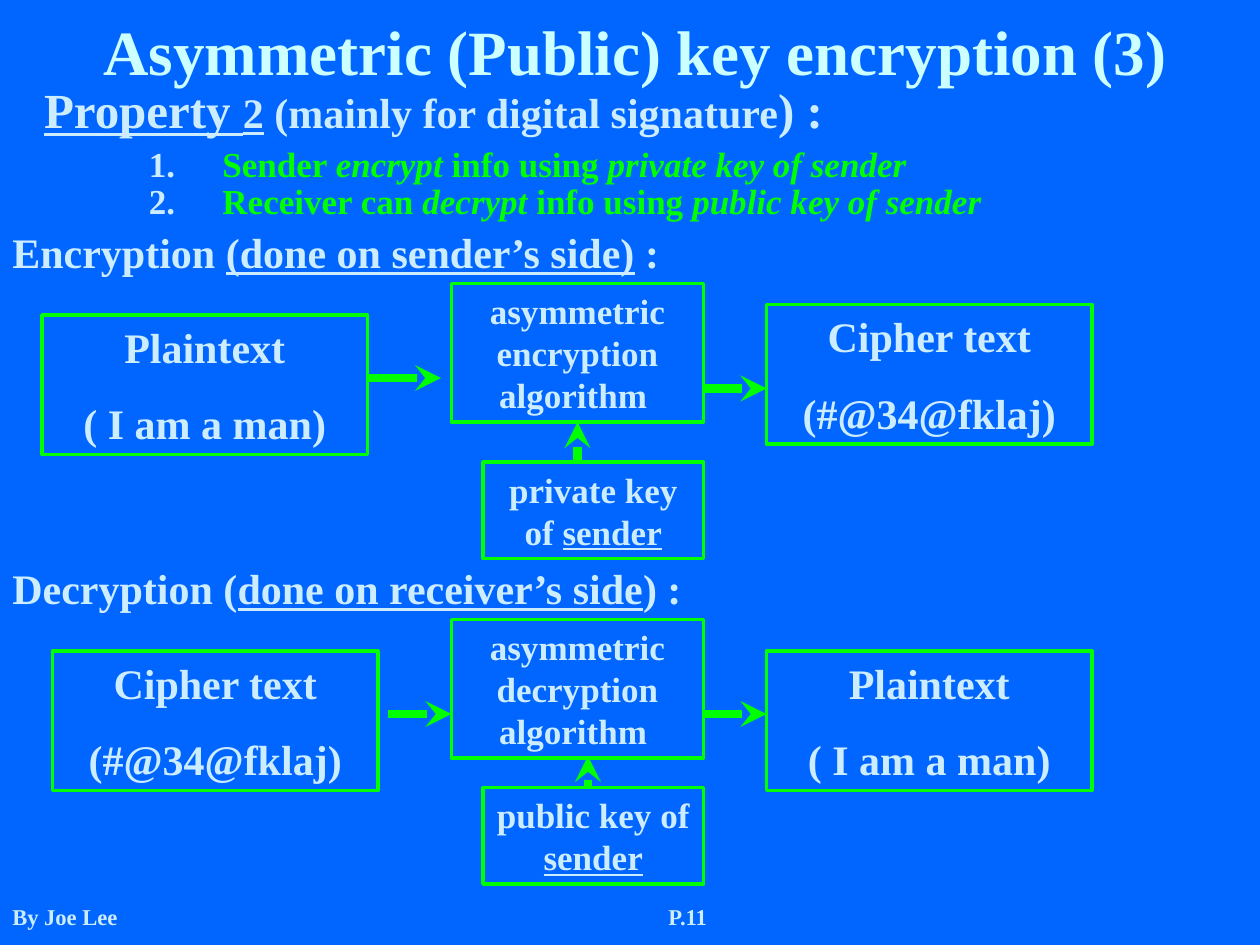
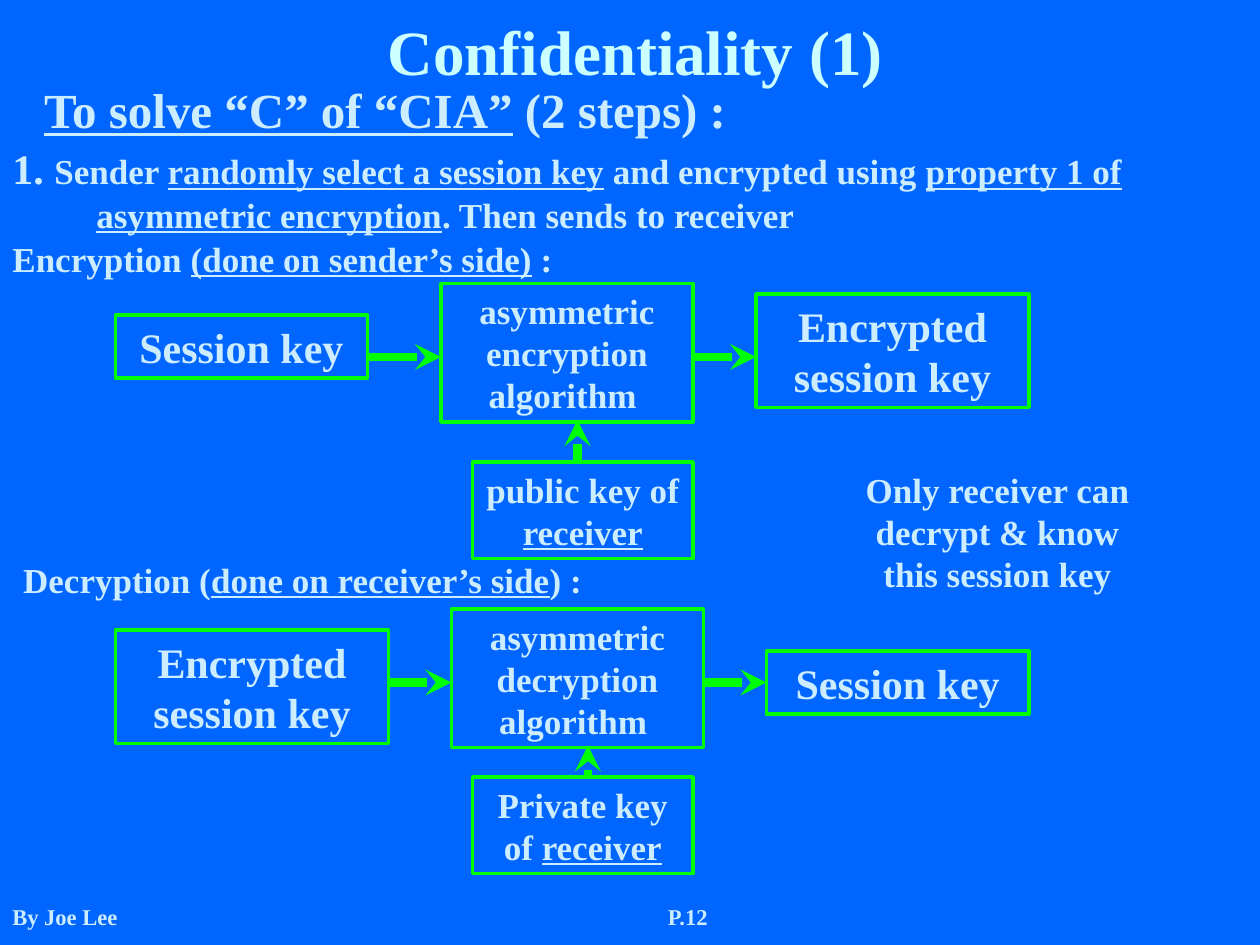
from lxml import etree
from pptx import Presentation
from pptx.dml.color import RGBColor
from pptx.enum.shapes import MSO_CONNECTOR, MSO_SHAPE
from pptx.enum.text import MSO_ANCHOR, MSO_AUTO_SIZE, PP_ALIGN
from pptx.oxml.ns import qn
from pptx.util import Pt

PX = 7620
LEFT, CENTER = PP_ALIGN.LEFT, PP_ALIGN.CENTER
TOP, BOTTOM = MSO_ANCHOR.TOP, MSO_ANCHOR.BOTTOM
NO_FIT = MSO_AUTO_SIZE.NONE
RECT, STRAIGHT = MSO_SHAPE.RECTANGLE, MSO_CONNECTOR.STRAIGHT
TITLE_AND_BODY = 1

BLUE, PALE, ICE, GREEN = "0066FF", "CCECFF", "CCFFFF", "00FF00"
UNDERLINED = {"underline": True}
ITALIC = {"italic": True}
PLAINTEXT = ("Plaintext", "( I am a man)")
CIPHER_TEXT = ("Cipher text", "(#@34@fklaj)")


def color(value):
    return RGBColor.from_string(value)


def emu(*lengths):
    return [length * PX for length in lengths]


class Deck:
    font = "Times New Roman"

    def __init__(self):
        self.prs = Presentation()
        self.prs.slide_width, self.prs.slide_height = emu(1200, 900)
        background = self.prs.slide_master.background.fill
        background.solid()
        background.fore_color.rgb = color(BLUE)

    def new_slide(self, title, subtitle, subtitle_width, page):
        layout = self.prs.slide_layouts[TITLE_AND_BODY]
        self.slide = self.prs.slides.add_slide(layout)
        self.boxes = []
        heading, body = self.slide.placeholders
        self.place(heading, 30, 20, 1150, 70)
        self.set_text(heading, [[title]], 36, ICE, CENTER, anchor=BOTTOM)
        self.place(body, 30, 70, subtitle_width, 70)
        self.set_text(body, [subtitle], 28, hang=(80, 80))
        footer = {"size": 12.9, "spacing": 0.9, "inset_top": 43}
        self.text(0, 820, 380, 80, ["By Joe Lee"], **footer)
        self.text(530, 820, 250, 80, [f"P.{page}"], align=CENTER, **footer)

    def place(self, shape, x, y, w, h):
        shape.left, shape.top, shape.width, shape.height = emu(x, y, w, h)

    def set_text(self, shape, paragraphs, size, ink=PALE, align=LEFT, anchor=TOP,
                 spacing=1.0, gap=0, hang=None, number=None,
                 inset_left=12, inset_top=6):
        frame = shape.text_frame
        left, top, right, bottom = emu(inset_left, inset_top, 12, 6)
        frame_format = {"word_wrap": True, "auto_size": NO_FIT,
                        "vertical_anchor": anchor,
                        "margin_left": left, "margin_top": top,
                        "margin_right": right, "margin_bottom": bottom}
        for name, value in frame_format.items():
            setattr(frame, name, value)
        for index, runs in enumerate(paragraphs):
            paragraph = frame.paragraphs[0] if index == 0 else frame.add_paragraph()
            if hang:
                self.indent(paragraph, *hang, number)
            paragraph.alignment = align
            paragraph.line_spacing = spacing
            paragraph.space_before = Pt(gap if index else 0)
            for part in runs:
                words, changes = (part, {}) if isinstance(part, str) else part
                run = paragraph.add_run()
                run.text = words
                run_format = {"name": self.font, "size": size, "bold": True, **changes}
                run_format["size"] = Pt(run_format["size"])
                for name, value in run_format.items():
                    setattr(run.font, name, value)
                run.font.color.rgb = color(ink)

    def indent(self, paragraph, margin, back, number):
        props = paragraph._p.get_or_add_pPr()
        props.set("marL", str(margin * PX))
        props.set("indent", str(-back * PX))
        if number is None:
            etree.SubElement(props, qn("a:buNone"))
            return
        tint = etree.SubElement(props, qn("a:buClr"))
        etree.SubElement(tint, qn("a:srgbClr"), val=PALE)
        etree.SubElement(props, qn("a:buAutoNum"),
                         type="arabicPeriod", startAt=str(number))

    def text(self, x, y, w, h, runs, size=20, **style):
        label = self.slide.shapes.add_textbox(*emu(x, y, w, h))
        self.set_text(label, [runs], size, **style)

    def item(self, y, h, number, runs, spacing=1.0):
        self.text(70, y, 1050, h, runs, ink=GREEN, hang=(130, 70),
                  number=number, spacing=spacing)

    def box(self, x, y, w, h, paragraphs, size=24):
        frame = self.slide.shapes.add_shape(RECT, *emu(x, y, w, h))
        frame.shadow.inherit = False
        frame.fill.background()
        frame.line.color.rgb = color(GREEN)
        frame.line.width = Pt(2)
        self.set_text(frame, paragraphs, size, align=CENTER, gap=15)
        sides = [(x + w / 2, y), (x, y + h / 2), (x + w / 2, y + h), (x + w, y + h / 2)]
        self.boxes.append((frame, sides))

    def message(self, x, y, lines):
        self.box(x, y, 310, 133, [[line] for line in lines])

    def algorithm(self, x, y, action):
        self.box(x, y, 240, 132, [[f"asymmetric {action} algorithm "]], 20)

    def key(self, x, y, kind, owner):
        self.box(x, y, 210, 92, [[f"{kind} key of ", (owner, UNDERLINED)]], 20)

    def arrow(self, x1, y1, x2, y2):
        link = self.slide.shapes.add_connector(STRAIGHT, *emu(x1, y1, x2, y2))
        link.line.color.rgb = color(GREEN)
        link.line.width = Pt(5)
        outline = link._element.spPr.find(qn("a:ln"))
        etree.SubElement(outline, qn("a:tailEnd"), type="stealth")
        etree.SubElement(link._element.spPr, qn("a:effectLst"))
        for join, x, y in ((link.begin_connect, x1, y1), (link.end_connect, x2, y2)):
            for frame, sides in self.boxes:
                for side, (side_x, side_y) in enumerate(sides):
                    if max(abs(side_x - x), abs(side_y - y)) <= 2:
                        join(frame, side)

    def flow(self, y, *spans):
        for start, end in spans:
            self.arrow(start, y, end, y)


def property_two(deck):
    deck.new_slide(
        "Asymmetric (Public) key encryption (3)",
        [("Property ", UNDERLINED), ("2", {"size": 24, **UNDERLINED}),
         (" (mainly for digital signature", {"size": 24}), ") :"], 1130, 11)
    deck.item(130, 40, 1, ["Sender ", ("encrypt", ITALIC), " info using ",
                           ("private key of sender", ITALIC)])
    deck.item(170, 50, 2, ["Receiver can ", ("decrypt", ITALIC), " info using ",
                           ("public key of sender", ITALIC)], spacing=0.9)

    deck.text(0, 210, 680, 60, ["Encryption ", ("(done on sender’s side)", UNDERLINED),
                                " :"], 24)
    deck.message(40, 300, PLAINTEXT)
    deck.algorithm(430, 270, "encryption")
    deck.message(730, 290, CIPHER_TEXT)
    deck.key(460, 440, "private", "sender")
    deck.flow(360, (350, 420))
    deck.flow(370, (670, 730))
    deck.arrow(550, 440, 550, 400)

    deck.text(0, 530, 680, 60, ["Decryption (", ("done on receiver’s side", UNDERLINED),
                                ") :"], 24)
    deck.message(50, 620, CIPHER_TEXT)
    deck.algorithm(430, 590, "decryption")
    deck.message(730, 620, PLAINTEXT)
    deck.key(460, 750, "public", "sender")
    deck.flow(680, (370, 430), (670, 730))
    deck.arrow(560, 750, 560, 720)


def confidentiality(deck):
    deck.new_slide("Confidentiality (1)",
                   [("To solve “C” of “CIA”", UNDERLINED), " (2 steps) :"], 750, 12)
    deck.text(0, 130, 1200, 40,
              [("1. ", {"size": 24}), "Sender ",
               ("randomly select a session key", UNDERLINED), " and encrypted using ",
               ("property 1 of asymmetric encryption", UNDERLINED),
               ". Then sends to receiver"], hang=(80, 80))

    session_key, encrypted_key = [["Session key"]], [["Encrypted session key"]]
    deck.text(0, 220, 560, 53, ["Encryption ", ("(done on sender’s side)", UNDERLINED),
                                " :"])
    deck.box(110, 300, 240, 60, session_key)
    deck.algorithm(420, 270, "encryption")
    deck.box(720, 280, 260, 108, encrypted_key)
    deck.key(450, 440, "public", "receiver")
    deck.flow(340, (350, 420), (660, 720))
    deck.arrow(550, 440, 550, 400)

    deck.text(0, 520, 580, 60, ["Decryption (", ("done on receiver’s side", UNDERLINED),
                                ") :"], inset_left=22, inset_top=12)
    deck.box(110, 600, 260, 108, encrypted_key)
    deck.algorithm(430, 580, "decryption")
    deck.box(730, 620, 250, 60, session_key)
    deck.key(450, 740, "Private", "receiver")
    deck.flow(650, (370, 430), (670, 730))
    deck.arrow(560, 740, 560, 710)
    deck.text(800, 440, 300, 132, ["Only receiver can decrypt & know this session key"],
              align=CENTER)


def main():
    deck = Deck()
    property_two(deck)
    confidentiality(deck)
    deck.prs.save("out.pptx")


if __name__ == "__main__":
    main()
